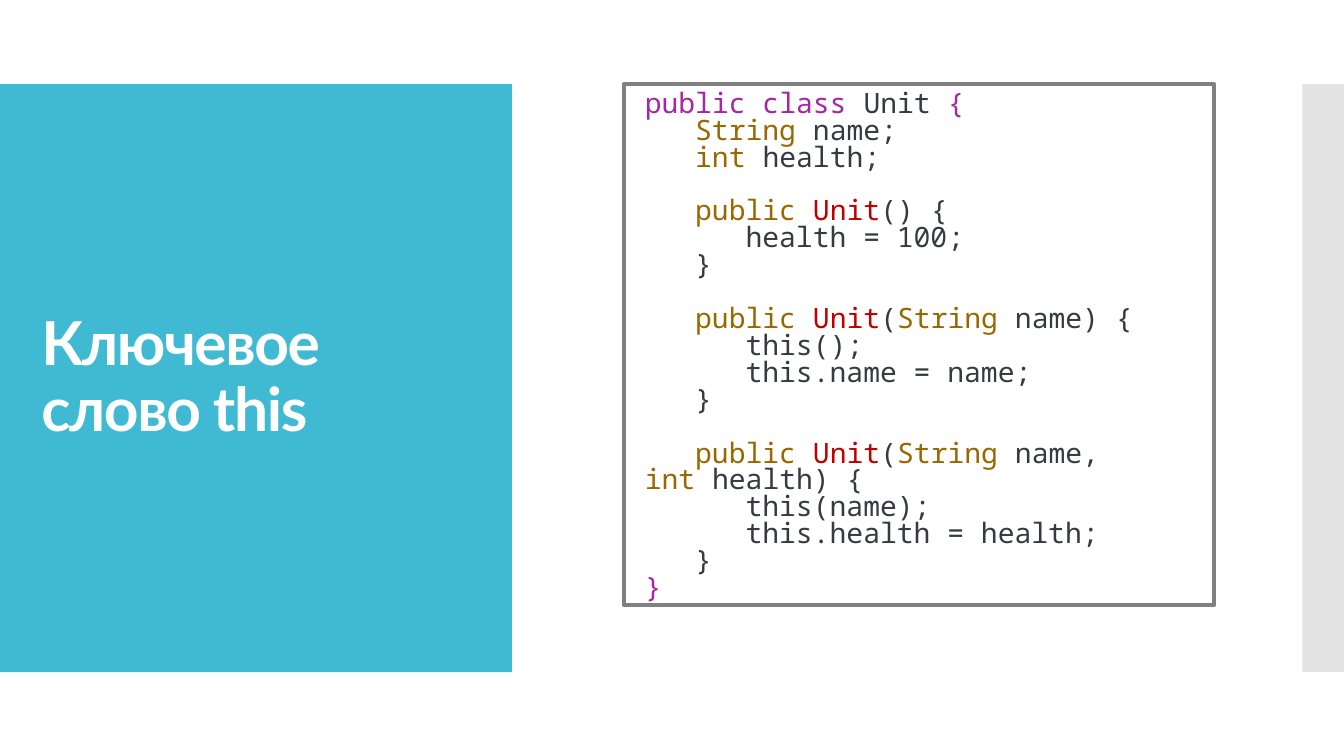
from pptx import Presentation
from pptx.dml.color import RGBColor
from pptx.enum.shapes import MSO_SHAPE as Kind
from pptx.enum.text import MSO_ANCHOR as Anchor, MSO_AUTO_SIZE as Fit
from pptx.oxml.ns import qn
from pptx.util import Cm, Pt
from lxml.etree import SubElement

WHITE = RGBColor(0xFF, 0xFF, 0xFF)
TEAL = RGBColor(0x40, 0xBA, 0xD2)
SILVER = RGBColor(0xC8, 0xC8, 0xC8)
GREY = RGBColor(0x80, 0x80, 0x80)
DARK = RGBColor(0x38, 0x3A, 0x42)
VIOLET = RGBColor(0xA6, 0x26, 0xA4)
BROWN = RGBColor(0x98, 0x68, 0x01)
RED = RGBColor(0xC0, 0x00, 0x00)

WIDE, HIGH = 33.87, 19.05
TOP, BAND = 2.12, 14.82
TAB = Cm(1.27)
GAP = Pt(19.2)  # height of one code line

# Code lines: indent level, gap above, coloured pieces
HEAD = [("public ", BROWN), ("Unit", RED)]
CODE = [
    (0, False, [("public class", VIOLET), (" Unit", DARK), (" {", VIOLET)]),
    (1, False, [("String ", BROWN), ("name;", DARK)]),
    (1, False, [("int ", BROWN), ("health;", DARK)]),
    (1, True, HEAD + [("() {", DARK)]),
    (2, False, [("health = 100;", DARK)]),
    (1, False, [("}", DARK)]),
    (1, True, HEAD + [("(", DARK), ("String", BROWN), (" name) {", DARK)]),
    (2, False, [("this();", DARK)]),
    (2, False, [("this.name = name;", DARK)]),
    (1, False, [("}", DARK)]),
    (1, True, HEAD + [("(", DARK), ("String", BROWN), (" name, ", DARK),
                      ("int", BROWN), (" health) {", DARK)]),
    (2, False, [("this(name);", DARK)]),
    (2, False, [("this.health = health;", DARK)]),
    (1, False, [("}", DARK)]),
    (0, False, [("}", VIOLET)]),
]


def add_text(para, text, font, size, color, bold=False, track=None):
    run = para.add_run()
    run.text = text
    run.font.name, run.font.size = font, Pt(size)
    run.font.bold = bold
    run.font.color.rgb = color
    if track is not None:
        run.font._element.set("spc", str(track))


def add_rect(slide, box, fill=None, line=None, alpha=None):
    rect = slide.shapes.add_shape(Kind.RECTANGLE, *map(Cm, box))
    rect.shadow.inherit = False
    if fill is None:
        rect.fill.background()
    else:
        rect.fill.solid()
        rect.fill.fore_color.rgb = fill
    if alpha is not None:
        tint = rect.fill._xPr.find(".//" + qn("a:srgbClr"))
        SubElement(tint, qn("a:alpha")).set("val", str(alpha * 1000))
    if line is None:
        rect.line.fill.background()
    else:
        rect.line.color.rgb = line
        rect.line.width = Pt(3)
    return rect


def add_title(slide, box, text):
    left, top, wide, high = box
    panel = add_rect(slide, box, fill=TEAL)
    title = slide.shapes.title
    panel._element.addnext(title._element)  # title above its panel
    title.left, title.top = Cm(left + 0.79), Cm(top + 6.36)
    title.width, title.height = Cm(wide - 1.6), Cm(2.84)
    frame = title.text_frame
    frame.word_wrap, frame.auto_size = True, Fit.NONE
    frame.vertical_anchor = Anchor.BOTTOM
    para = frame.paragraphs[0]
    para.line_spacing = 0.9
    para._p.get_or_add_pPr().set("algn", "l")
    add_text(para, text, "Lato", 43.2, WHITE, bold=True, track=-100)


def add_code(slide, box, lines):
    left, top, wide, high = box
    area = slide.shapes.add_textbox(Cm(left + 0.28), Cm(top + 0.07),
                                    Cm(wide - 1.32), Cm(high - 2.16))
    frame = area.text_frame
    frame.word_wrap, frame.auto_size = True, Fit.SHAPE_TO_FIT_TEXT
    for num, (level, gap, parts) in enumerate(lines):
        para = frame.add_paragraph() if num else frame.paragraphs[0]
        para.line_spacing = 0.8
        para.space_before = GAP if gap else Pt(0)
        # First-line indent, so a wrapped line returns to the margin
        form = para._p.get_or_add_pPr()
        form.set("marL", "0")
        form.set("indent", str(level * TAB))
        for text, color in parts:
            add_text(para, text, "Noto Sans Mono", 20, color)
    add_rect(slide, box, line=GREY)


deck = Presentation()
deck.slide_width, deck.slide_height = Cm(WIDE), Cm(HIGH)
slide = deck.slides.add_slide(deck.slide_layouts[0])
sub = slide.placeholders[1]._element
sub.getparent().remove(sub)

# Title panel, side strip, code frame
add_title(slide, (0, TOP, 12.9, BAND), "Ключевое слово this")
add_rect(slide, (WIDE - 1.05, TOP, 1.05, BAND), fill=SILVER, alpha=50)
add_code(slide, (15.72, TOP, 14.88, 13.13), CODE)

deck.save("out.pptx")
